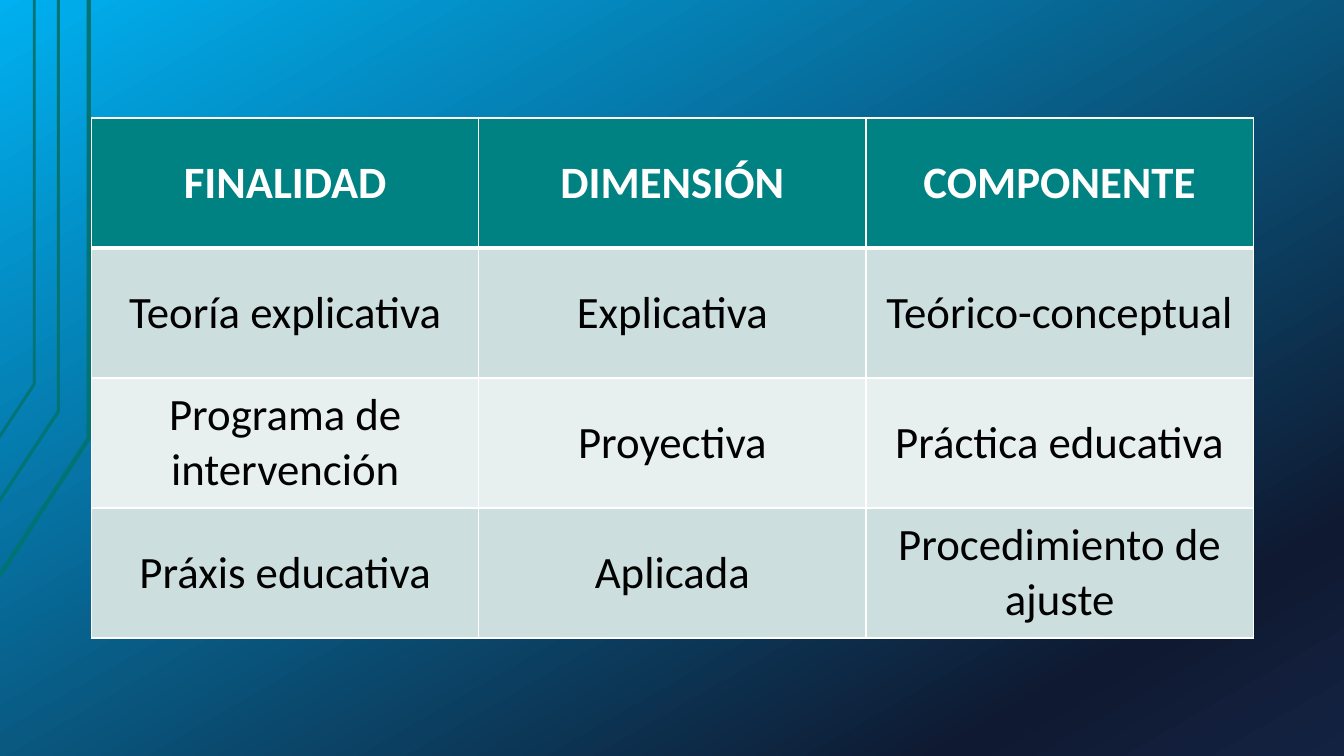
import pptx
import pptx.util
import pptx.oxml
import pptx.oxml.ns
import pptx.dml.color
import pptx.enum.text

ROWS = [
    ("FINALIDAD", "DIMENSIÓN", "COMPONENTE"),
    ("Teoría explicativa", "Explicativa", "Teórico-conceptual"),
    ("Programa de intervención", "Proyectiva", "Práctica educativa"),
    ("Práxis educativa", "Aplicada", "Procedimiento de ajuste"),
]
COLORS = {"line": "007373", "header": "008282", "odd": "CCDEDE", "even": "E7EFEF",
          "border": "FFFFFF", "header_text": "FFFFFF", "text": "000000"}
GRADIENT = [(0, "00B0F0"), (85, "0F1931"), (100, "142242")]
GRADIENT_ANGLE = 60
BENT_LINES = [
    {"points": [(-0.01, 5.72), (0.88, 4.35), (0.88, 0)], "width": 3},
    {"points": [(-0.02, 4.99), (0.58, 4.08), (0.58, 0)], "width": 2.25},
    {"points": [(-0.01, 4.34), (0.34, 3.81), (0.34, 0)], "width": 2},
]
LEFT, TOP, COL_WIDTH, ROW_HEIGHT = 0.91, 1.17, 3.84, 1.29
THIN, THICK = 1, 3
FONT = {"name": "Calibri", "size": pptx.util.Pt(32)}

Inches = pptx.util.Inches


def rgb(key):
    """Return the named colour."""
    return pptx.dml.color.RGBColor.from_string(COLORS[key])


def paint_background(s):
    """Fill the slide background with the linear gradient."""
    stops = "".join(f'<a:gs pos="{pos * 1000}"><a:srgbClr val="{color}"/></a:gs>'
                    for pos, color in GRADIENT)
    s._element.cSld.insert(0, pptx.oxml.parse_xml(
        f'<p:bg {pptx.oxml.ns.nsdecls("p", "a")}><p:bgPr><a:gradFill rotWithShape="1">'
        f'<a:gsLst>{stops}</a:gsLst><a:lin ang="{GRADIENT_ANGLE * 60000}" scaled="0"/>'
        '</a:gradFill><a:effectLst/></p:bgPr></p:bg>'))


def draw_bent_line(s, points, width):
    """Draw an open outline through the points."""
    corners = [(Inches(x), Inches(y)) for x, y in points]
    builder = s.shapes.build_freeform(*corners[0])
    builder.add_line_segments(corners[1:], close=False)
    sp = builder.convert_to_shape()
    sp.shadow.inherit = False
    sp.fill.background()
    sp.line.color.rgb = rgb("line")
    sp.line.width = pptx.util.Pt(width)


def add_borders(cell, widths):
    """Give each side of the cell a line of its width in points."""
    for side, width in widths.items():
        cell._tc.get_or_add_tcPr().append(pptx.oxml.parse_xml(
            f'<a:ln{side} {pptx.oxml.ns.nsdecls("a")} w="{pptx.util.Pt(width)}"><a:solidFill>'
            f'<a:srgbClr val="{COLORS["border"]}"/></a:solidFill></a:ln{side}>'))


def fill_cell(cell, text, row):
    """Write and format one table cell."""
    header = row == 0
    add_borders(cell, {"L": THIN, "R": THIN, "T": THICK if row == 1 else THIN,
                       "B": THICK if header else THIN})
    cell.fill.solid()
    cell.fill.fore_color.rgb = rgb("header" if header else "odd" if row % 2 else "even")
    cell.vertical_anchor = pptx.enum.text.MSO_ANCHOR.MIDDLE
    p = cell.text_frame.paragraphs[0]
    p.alignment = pptx.enum.text.PP_ALIGN.CENTER
    r = p.add_run()
    r.text = text
    for name, value in {**FONT, "bold": header}.items():
        setattr(r.font, name, value)
    r.font.color.rgb = rgb("header_text" if header else "text")


prs = pptx.Presentation()
prs.slide_width, prs.slide_height = Inches(13.33), Inches(7.5)
s = prs.slides.add_slide(prs.slide_layouts[6])
paint_background(s)
for bent_line in BENT_LINES:
    draw_bent_line(s, **bent_line)

n_rows, n_cols = len(ROWS), len(ROWS[0])
table = s.shapes.add_table(n_rows, n_cols, Inches(LEFT), Inches(TOP),
                           Inches(n_cols * COL_WIDTH), Inches(n_rows * ROW_HEIGHT)).table
for i, texts in enumerate(ROWS):
    for j, text in enumerate(texts):
        fill_cell(table.cell(i, j), text, i)
prs.save("out.pptx")
